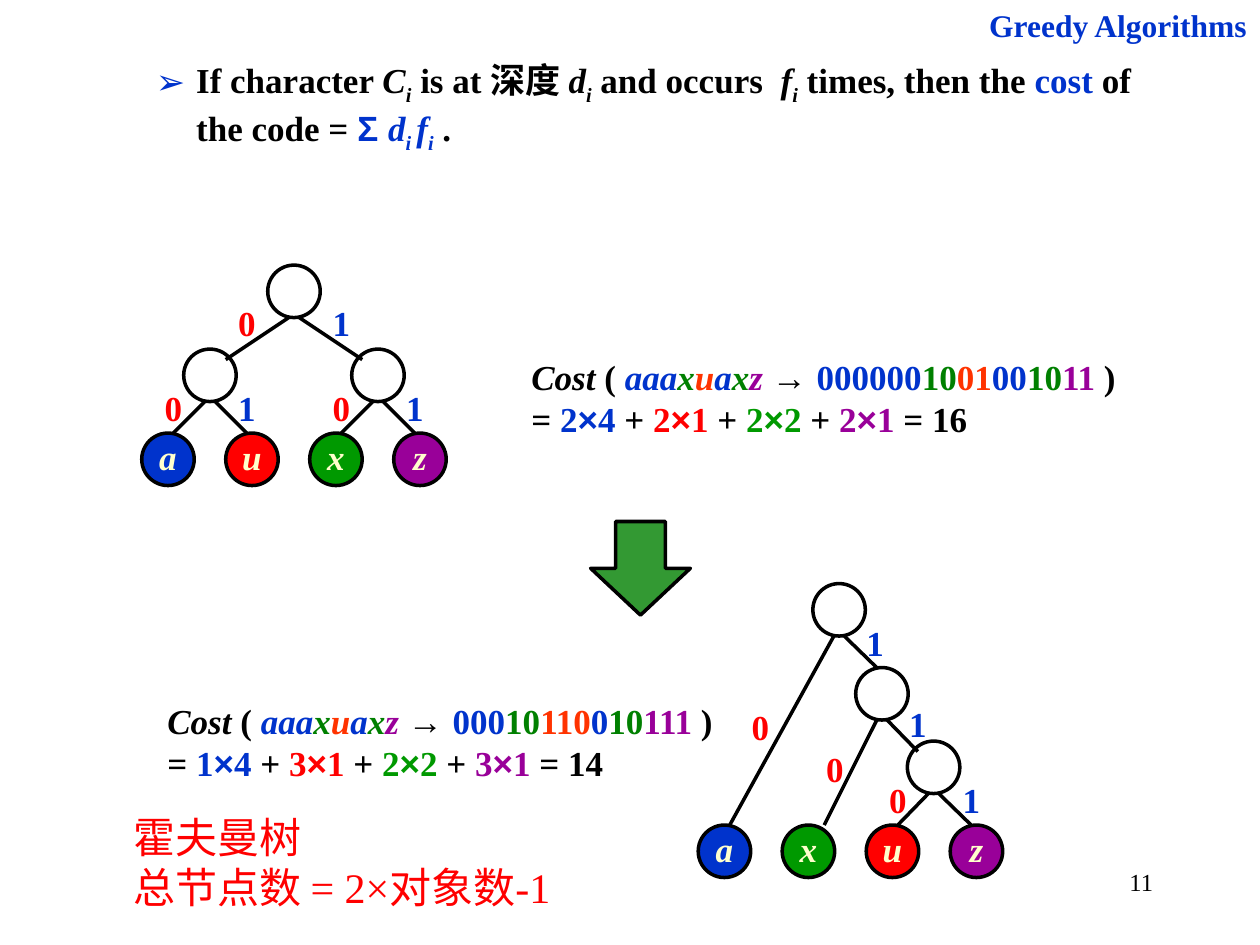
from itertools import groupby

from lxml.etree import SubElement
from pptx import Presentation
from pptx.dml.color import RGBColor
from pptx.enum.shapes import MSO_CONNECTOR as Link, MSO_SHAPE as Shape
from pptx.enum.text import MSO_ANCHOR as Anchor, PP_ALIGN as Align
from pptx.oxml.ns import qn
from pptx.util import Pt

BLACK = RGBColor(0x00, 0x00, 0x00)
BLUE = RGBColor(0x00, 0x33, 0xCC)
RED = RGBColor(0xFF, 0x00, 0x00)
GREEN = RGBColor(0x00, 0x99, 0x00)
PURPLE = RGBColor(0x99, 0x00, 0x99)
ORANGE = RGBColor(0xFF, 0x33, 0x00)
FOREST = RGBColor(0x00, 0x80, 0x00)
LEAF = RGBColor(0x33, 0x99, 0x33)
CREAM = RGBColor(0xFF, 0xFF, 0xCC)

FILLS = {"a": BLUE, "u": RED, "x": GREEN, "z": PURPLE}
INKS = {"a": BLUE, "u": ORANGE, "x": FOREST, "z": PURPLE}
WORD = "aaaxuaxz"
SIZE = 30  # node diameter
STEP = 48  # distance between leaves and between levels


class Page:
    serif, sans = "Times New Roman", "Arial"
    size, line = 20, 2

    def __init__(self, slide):
        self.slide = slide

    def font(self, para, color, size=None, bold=True):
        font = para.font
        font.name, font.size, font.bold = self.serif, Pt(size or self.size), bold
        font.color.rgb = color

    def runs(self, para, parts):
        """Each part is (text, colour, marks): i italic, s subscript, a sans."""
        for text, color, marks in parts:
            run = para.add_run()
            run.text = text
            font = run.font
            font.color.rgb = color
            if "i" in marks:
                font.italic = True
            if "a" in marks:
                font.name = self.sans
            if "s" in marks:
                font._element.set("baseline", "-25000")

    def text(self, x, y, w, h, lines, color=BLACK, size=None, bold=True,
             align=Align.LEFT, wrap=True, bullet=None):
        box = self.slide.shapes.add_textbox(Pt(x), Pt(y), Pt(w), Pt(h))
        frame = box.text_frame
        frame.word_wrap = wrap
        for i, line in enumerate(lines):
            para = frame.add_paragraph() if i else frame.paragraphs[0]
            para.alignment = align
            if bullet:
                self.bullet(para, bullet)
            self.font(para, color, size, bold)
            if isinstance(line, str):
                para.add_run().text = line
            else:
                self.runs(para, line)

    def bullet(self, para, mark, indent=23):
        props = para._p.get_or_add_pPr()
        props.set("marL", str(Pt(indent)))
        props.set("indent", str(-Pt(indent)))
        tint = SubElement(props, qn("a:buClr"))
        SubElement(tint, qn("a:srgbClr")).set("val", str(BLUE))
        SubElement(props, qn("a:buFont")).set("typeface", self.sans)
        SubElement(props, qn("a:buChar")).set("char", mark)

    def shape(self, kind, x, y, w, h, fill=None):
        shape = self.slide.shapes.add_shape(kind, Pt(x), Pt(y), Pt(w), Pt(h))
        shape.shadow.inherit = False
        if fill is None:
            shape.fill.background()
        else:
            shape.fill.solid()
            shape.fill.fore_color.rgb = fill
        shape.line.color.rgb = BLACK
        shape.line.width = Pt(self.line)
        return shape

    def node(self, x, y, name=""):
        shape = self.shape(Shape.OVAL, x, y, SIZE, SIZE, FILLS.get(name))
        if name:
            frame = shape.text_frame
            frame.word_wrap = False
            frame.vertical_anchor = Anchor.MIDDLE
            frame.margin_bottom = Pt(6.5)
            para = frame.paragraphs[0]
            para.alignment = Align.CENTER
            self.font(para, CREAM)
            para.font.italic = True
            para.add_run().text = name

    def edge(self, top, low, dx=0, dy=0):
        """Join a parent to its child; dx and dy move the lower end inwards."""
        side = 1 if low[0] > top[0] else -1
        half = SIZE / 2
        link = self.slide.shapes.add_connector(
            Link.STRAIGHT,
            Pt(top[0] + half + 3 * side), Pt(top[1] + SIZE),
            Pt(low[0] + half - (3 + dx) * side), Pt(low[1] + dy))
        link.line.color.rgb = BLACK
        link.line.width = Pt(self.line)
        SubElement(link._element.spPr, qn("a:effectLst"))

    def tree(self, x, y, order, inner, edges, bits):
        """Leaves start at x, y; edges name nodes by leaf letter or inner key."""
        spots = {name: (x + i * STEP, y) for i, name in enumerate(order)}
        for name, spot in spots.items():
            self.node(*spot, name)
        for spot in inner.values():
            self.node(*spot)
        spots.update(inner)
        for top, low, *shift in edges:
            self.edge(spots[top], spots[low], *shift)
        for bit, color in (("0", RED), ("1", BLUE)):
            for left, above in bits[bit]:
                self.text(left, above, SIZE, 31.5, [bit], color)

    def cost(self, x, y, w, codes):
        groups = [(key, "".join(group)) for key, group in groupby(WORD)]
        first = [("Cost ", BLACK, "i"), ("( ", BLACK, "")]
        first += [(text, INKS[key], "i") for key, text in groups]
        first += [(" ", BLACK, ""), ("→ ", BLACK, "a")]
        first += [(codes[key] * len(text), INKS[key], "") for key, text in groups]
        first.append((" )", BLACK, ""))
        second, total = [], 0
        for key, code in codes.items():
            depth, count, color = len(code), WORD.count(key), FILLS[key]
            second += [(" + " if second else "= ", BLACK, ""),
                       (str(depth), color, ""), ("×", color, "a"),
                       (str(count), color, "")]
            total += depth * count
        second.append((f" = {total}", BLACK, ""))
        self.text(x, y, w, 55.5, [first, second], wrap=False)


def main():
    deck = Presentation()
    deck.slide_width, deck.slide_height = Pt(720), Pt(540)
    page = Page(deck.slides.add_slide(deck.slide_layouts[6]))

    # Header and page number
    page.text(541.5, 0, 178, 29, ["Greedy Algorithms"], BLUE, 18, align=Align.RIGHT)
    page.text(516, 492, 150, 36, ["11"], size=14, bold=False, align=Align.RIGHT)

    # Cost rule
    page.text(82, 30, 578, 62, [[
        ("If character ", BLACK, ""), ("C", BLACK, "i"), ("i", BLACK, "is"),
        (" is at 深度 ", BLACK, ""), ("d", BLACK, "i"), ("i", BLACK, "is"),
        (" and occurs  ", BLACK, ""), ("f", BLACK, "i"), ("i", BLACK, "is"),
        (" times, then the ", BLACK, ""), ("cost", BLUE, ""),
        (" of the code = ", BLACK, ""), ("Σ ", BLUE, "a"),
        ("d", BLUE, "i"), ("i ", BLUE, "is"), ("f", BLUE, "i"),
        ("i", BLUE, "is"), (" .", BLACK, ""),
    ]], bullet="➢")

    # Fixed-length code
    page.tree(
        81, 247.5, "auxz",
        {"root": (153, 151.5), "left": (105, 199.5), "right": (201, 199.5)},
        [("root", "left", 6, 6), ("root", "right", 6, 6), ("left", "a"),
         ("left", "u"), ("right", "x"), ("right", "z")],
        {"0": [(129, 169), (87, 217.5), (183, 217.5)],
         "1": [(183, 169), (129, 217.5), (225, 217.5)]})
    page.cost(296.5, 199.5, 353.5, {"a": "00", "u": "01", "x": "10", "z": "11"})

    # Step to the better code
    page.shape(Shape.DOWN_ARROW, 337.5, 298, 57, 53.5, LEAF)

    # Huffman code
    page.tree(
        399, 471.5, "axuz",
        {"root": (464.5, 333.5), "mid": (489, 381.5), "low": (518.5, 423.5)},
        [("root", "a"), ("root", "mid"), ("mid", "x", 6), ("mid", "low", 6, 6),
         ("low", "u"), ("low", "z")],
        {"0": [(422.5, 399.5), (465, 423.5), (501, 441.5)],
         "1": [(488, 351.5), (512.5, 398), (543, 441.5)]})
    page.cost(88.5, 396, 333.5, {"a": "0", "u": "110", "x": "10", "z": "111"})

    # Node count of the Huffman tree
    page.text(69, 460, 270, 65, ["霍夫曼树", "总节点数 = 2×对象数-1"],
              RED, 24, bold=False, wrap=False)

    deck.save("out.pptx")


if __name__ == "__main__":
    main()
